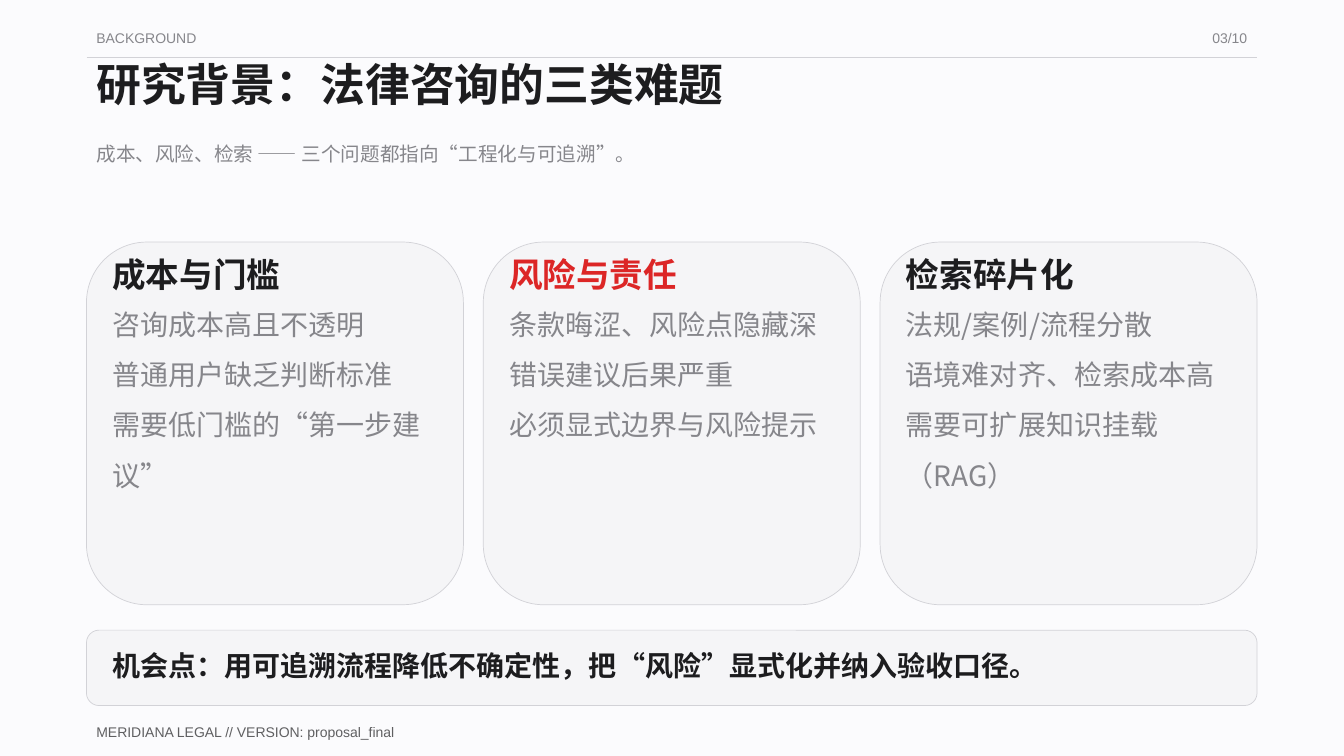
import lxml.etree
import pptx
import pptx.dml.color
import pptx.enum.shapes
import pptx.enum.text
import pptx.oxml.ns
import pptx.util

Cm = pptx.util.Cm
RGBColor = pptx.dml.color.RGBColor
ALIGN = pptx.enum.text.PP_ALIGN
ANCHOR = pptx.enum.text.MSO_ANCHOR
qn = pptx.oxml.ns.qn

PAPER = RGBColor(0xFB, 0xFB, 0xFD)
PANEL = RGBColor(0xF5, 0xF5, 0xF7)
RULE = RGBColor(0xD2, 0xD2, 0xD7)
INK = RGBColor(0x1D, 0x1D, 0x1F)
GREY = RGBColor(0x86, 0x86, 0x8B)
RED = RGBColor(0xDC, 0x26, 0x26)
LATIN, CJK = "Arial", "Noto Sans CJK SC"

# Page frame in cm
LEFT, WIDTH = 2.18, 29.5
GAP, INSET = 0.5, 0.4

CARDS = [
    ("成本与门槛", INK,
     ["咨询成本高且不透明", "普通用户缺乏判断标准", "需要低门槛的“第一步建议”"]),
    ("风险与责任", RED,
     ["条款晦涩、风险点隐藏深", "错误建议后果严重", "必须显式边界与风险提示"]),
    ("检索碎片化", INK,
     ["法规/案例/流程分散", "语境难对齐、检索成本高", "需要可扩展知识挂载（RAG）"]),
]


def add_text(s, box, lines, size, color, font=CJK, bold=False, spacing=None,
             align=ALIGN.LEFT, anchor=ANCHOR.MIDDLE, alpha=None):
    tf = s.shapes.add_textbox(*map(Cm, box)).text_frame
    tf.word_wrap = True
    tf.vertical_anchor = anchor
    for i, line in enumerate(lines):
        p = tf.add_paragraph() if i else tf.paragraphs[0]
        p.alignment = align
        p.line_spacing = spacing
        r = p.add_run()
        r.text = line
        r.font.size = pptx.util.Pt(size)
        r.font.bold = bold
        r.font.color.rgb = color
        r.font.name = font
        rpr = r.font._element
        lxml.etree.SubElement(rpr, qn("a:ea")).set("typeface", font)
        if alpha:
            clr = rpr.find(qn("a:solidFill")).find(qn("a:srgbClr"))
            lxml.etree.SubElement(clr, qn("a:alpha")).set("val", str(alpha * 1000))


def add_panel(s, box):
    sp = s.shapes.add_shape(
        pptx.enum.shapes.MSO_SHAPE.ROUNDED_RECTANGLE, *map(Cm, box))
    sp.shadow.inherit = False
    sp.fill.solid()
    sp.fill.fore_color.rgb = PANEL
    sp.line.color.rgb = RULE
    sp.line.width = pptx.util.Pt(0.5)


def add_header(s, x, y, w):
    # Section label, page number and rule
    add_text(s, (x, y, w, 0.64), ["BACKGROUND"], 10, GREY, LATIN)
    add_text(s, (x + w - 2.54, y, 2.54, 0.64), ["03/10"], 10, GREY, LATIN,
             align=ALIGN.RIGHT)
    rule = s.shapes.add_connector(
        pptx.enum.shapes.MSO_CONNECTOR.STRAIGHT,
        Cm(x), Cm(y + 0.81), Cm(x + w), Cm(y + 0.81))
    rule.line.color.rgb = RULE
    rule.line.width = pptx.util.Pt(0.5)
    lxml.etree.SubElement(rule._element.spPr, qn("a:effectLst"))
    # Title and subtitle
    add_text(s, (x, y + 0.71, w, 1.4), ["研究背景：法律咨询的三类难题"], 32, INK,
             bold=True, spacing=1.1)
    add_text(s, (x, y + 2.61, w, 1.14),
             ["成本、风险、检索 —— 三个问题都指向“工程化与可追溯”。"], 14, GREY,
             spacing=1.2)


def add_card(s, x, y, w, h, heading, color, points):
    add_panel(s, (x, y, w, h))
    inner = w - 2 * INSET
    add_text(s, (x + INSET, y + 0.35, inner, 0.9), [heading], 24, color, bold=True)
    add_text(s, (x + INSET, y + 1.09, inner, h - 1.39), points, 20, GREY,
             spacing=1.5, anchor=ANCHOR.TOP)


def add_cards(s, x, y, w, h):
    card_w = (w - GAP * (len(CARDS) - 1)) / len(CARDS)
    for i, card in enumerate(CARDS):
        add_card(s, x + i * (card_w + GAP), y, card_w, h, *card)


def add_takeaway(s, x, y, w, h):
    add_panel(s, (x, y, w, h))
    add_text(s, (x + INSET, y + 0.43, w - 2 * INSET, 0.9),
             ["机会点：用可追溯流程降低不确定性，把“风险”显式化并纳入验收口径。"],
             20, INK, bold=True)


def add_footer(s, x, y, w):
    add_text(s, (x, y, w, 0.56), ["MERIDIANA LEGAL // VERSION: proposal_final"],
             10, INK, LATIN, alpha=70)


def main():
    prs = pptx.Presentation()
    prs.slide_width, prs.slide_height = Cm(33.87), Cm(19.05)
    s = prs.slides.add_slide(prs.slide_layouts[6])
    s.background.fill.solid()
    s.background.fill.fore_color.rgb = PAPER
    add_header(s, LEFT, 0.64, WIDTH)
    add_cards(s, LEFT, 6.1, WIDTH, 9.14)
    add_takeaway(s, LEFT, 15.88, WIDTH, 1.9)
    add_footer(s, LEFT, 18.16, WIDTH)
    prs.save("out.pptx")


if __name__ == "__main__":
    main()
